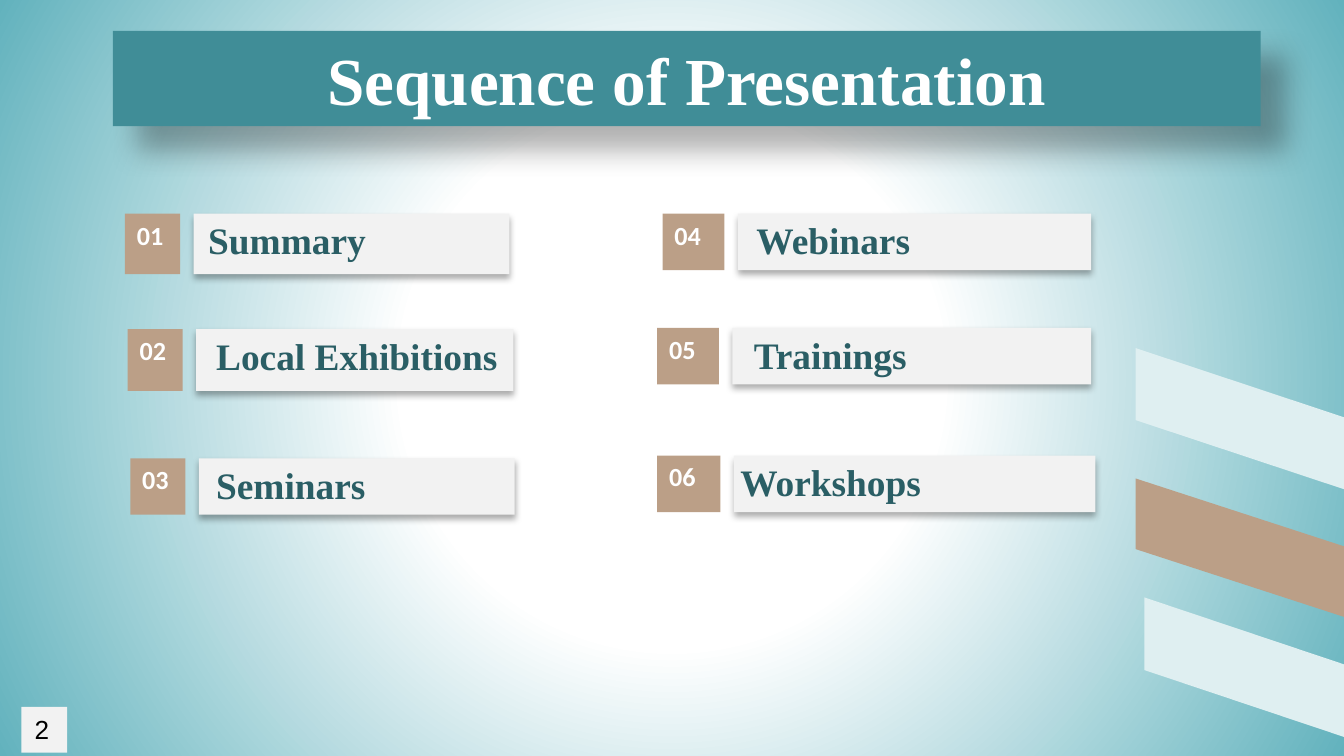
from dataclasses import dataclass

from pptx import Presentation
from pptx.dml.color import RGBColor
from pptx.enum.shapes import MSO_SHAPE
from pptx.enum.text import MSO_ANCHOR, MSO_AUTO_SIZE, PP_ALIGN
from pptx.oxml import parse_xml
from pptx.oxml.ns import nsdecls
from pptx.util import Inches, Pt

RECT = MSO_SHAPE.RECTANGLE
PARALLELOGRAM = MSO_SHAPE.PARALLELOGRAM
LEFT, CENTER = PP_ALIGN.LEFT, PP_ALIGN.CENTER
TOP, MIDDLE = MSO_ANCHOR.TOP, MSO_ANCHOR.MIDDLE
GROW, FIXED = MSO_AUTO_SIZE.SHAPE_TO_FIT_TEXT, MSO_AUTO_SIZE.NONE


@dataclass(frozen=True)
class Theme:
    white: str = "FFFFFF"
    black: str = "000000"
    teal: str = "408D97"
    dark_teal: str = "2A5E65"
    edge: str = "62B2BD"
    pale: str = "DFEFF1"
    tan: str = "BB9F87"
    grey: str = "F2F2F2"
    serif: str = "Times New Roman"
    sans: str = "Calibri"
    plain: str = "Arial"
    title_size: int = 36
    label_size: int = 20
    number_size: int = 14


THEME = Theme()
SLIDE_WIDTH = Inches(10)
SLIDE_HEIGHT = SLIDE_WIDTH * 9 // 16
BAR_SHADOW = (32, 3.5, 2.2, 90)
TITLE_SHADOW = (30, 15, 18, 45)
GAP = 0.1

ITEM_FIELDS = ("number", "label", "x", "y", "badge_w", "bar_w", "h",
               "label_x", "label_w")
ITEMS = [
    ("01", "Summary", 0.93, 1.59, 0.41, 2.35, 0.45, 1.45, 1.67),
    ("02", "Local Exhibitions", 0.95, 2.45, 0.41, 2.36, 0.46, 1.51, 2.44),
    ("03", "Seminars", 0.97, 3.41, 0.41, 2.35, 0.42, 1.51, 2.34),
    ("04", "Webinars", 4.93, 1.59, 0.46, 2.63, 0.42, 5.53, 2.62),
    ("05", "Trainings", 4.89, 2.44, 0.46, 2.67, 0.42, 5.51, 2.95),
    ("06", "Workshops", 4.89, 3.39, 0.47, 2.69, 0.42, 5.41, 3.09),
]
STRIPES = [
    (8.7, 2.34, 1.05, THEME.pale),
    (8.71, 3.3, 1.03, THEME.tan),
    (8.76, 4.2, 1.06, THEME.pale),
]


def set_background(slide):
    stops = [(0, THEME.white), (35, THEME.white), (100, THEME.edge)]
    gs = "".join(
        f'<a:gs pos="{pos * 1000}"><a:srgbClr val="{color}"/></a:gs>'
        for pos, color in stops
    )
    slide.element.cSld.insert(0, parse_xml(
        f'<p:bg {nsdecls("p", "a")}><p:bgPr><a:gradFill rotWithShape="1">'
        f'<a:gsLst>{gs}</a:gsLst><a:path path="circle">'
        '<a:fillToRect l="50000" t="50000" r="50000" b="50000"/></a:path>'
        '</a:gradFill><a:effectLst/></p:bgPr></p:bg>'
    ))


def add_shadow(sp, opacity, blur, distance, angle):
    effects = parse_xml(
        f'<a:effectLst {nsdecls("a")}><a:outerShdw blurRad="{Pt(blur)}" '
        f'dist="{Pt(distance)}" dir="{angle * 60000}" algn="tl" rotWithShape="0">'
        f'<a:srgbClr val="{THEME.black}"><a:alpha val="{opacity * 1000}"/>'
        '</a:srgbClr></a:outerShdw></a:effectLst>'
    )
    sp_pr = sp.element.spPr
    sp_pr.replace(sp_pr.find(effects.tag), effects)


def add_box(shapes, x, y, w, h, fill, kind=RECT, shadow=None):
    sp = shapes.add_shape(kind, Inches(x), Inches(y), Inches(w), Inches(h))
    sp.fill.solid()
    sp.fill.fore_color.rgb = RGBColor.from_string(fill)
    sp.line.fill.background()
    sp.shadow.inherit = False
    if shadow:
        add_shadow(sp, *shadow)
    return sp


def set_text(sp, text, *, size, font, color, bold=False, align=LEFT,
             anchor=TOP, fit=FIXED):
    tf = sp.text_frame
    tf.word_wrap = True
    tf.auto_size = fit
    tf.vertical_anchor = anchor
    p = tf.paragraphs[0]
    p.alignment = align
    r = p.add_run()
    r.text = text
    r.font.size = Pt(size)
    r.font.name = font
    r.font.bold = bold
    r.font.color.rgb = RGBColor.from_string(color)


def add_label(shapes, text, x, y, w, h, **style):
    sp = shapes.add_textbox(Inches(x), Inches(y), Inches(w), Inches(h))
    set_text(sp, text, bold=True, **style)


def add_stripe(slide, x, y, w, color):
    sp = add_box(slide.shapes, x, y, w, 1.55, color, PARALLELOGRAM)
    sp.adjustments[0] = 0.49
    sp.rotation = 270


def add_item(slide, number, label, x, y, badge_w, bar_w, h, label_x, label_w):
    shapes = slide.shapes.add_group_shape().shapes
    add_box(shapes, x + badge_w + GAP, y, bar_w, h, THEME.grey, shadow=BAR_SHADOW)
    add_label(shapes, label, label_x, y - 0.02, label_w, h + 0.07,
              size=THEME.label_size, font=THEME.serif, color=THEME.dark_teal)
    add_box(shapes, x, y, badge_w, h, THEME.tan)
    add_label(shapes, number, x - 0.01, y - 0.01, badge_w + 0.12, 0.34,
              size=THEME.number_size, font=THEME.sans, color=THEME.white, fit=GROW)


def main():
    prs = Presentation()
    prs.slide_width, prs.slide_height = SLIDE_WIDTH, SLIDE_HEIGHT
    slide = prs.slides.add_slide(prs.slide_layouts[6])
    set_background(slide)
    for stripe in STRIPES:
        add_stripe(slide, *stripe)
    title = add_box(slide.shapes, 0.84, 0.23, 8.54, 0.71, THEME.teal,
                    shadow=TITLE_SHADOW)
    set_text(title, "Sequence of Presentation", size=THEME.title_size,
             font=THEME.serif, color=THEME.white, bold=True, align=CENTER,
             anchor=MIDDLE, fit=GROW)
    for item in ITEMS:
        add_item(slide, **dict(zip(ITEM_FIELDS, item)))
    page = add_box(slide.shapes, 0.16, 5.26, 0.34, 0.34, THEME.grey)
    set_text(page, "2", size=THEME.number_size, font=THEME.plain,
             color=THEME.black, fit=GROW)
    prs.save("out.pptx")


if __name__ == "__main__":
    main()
